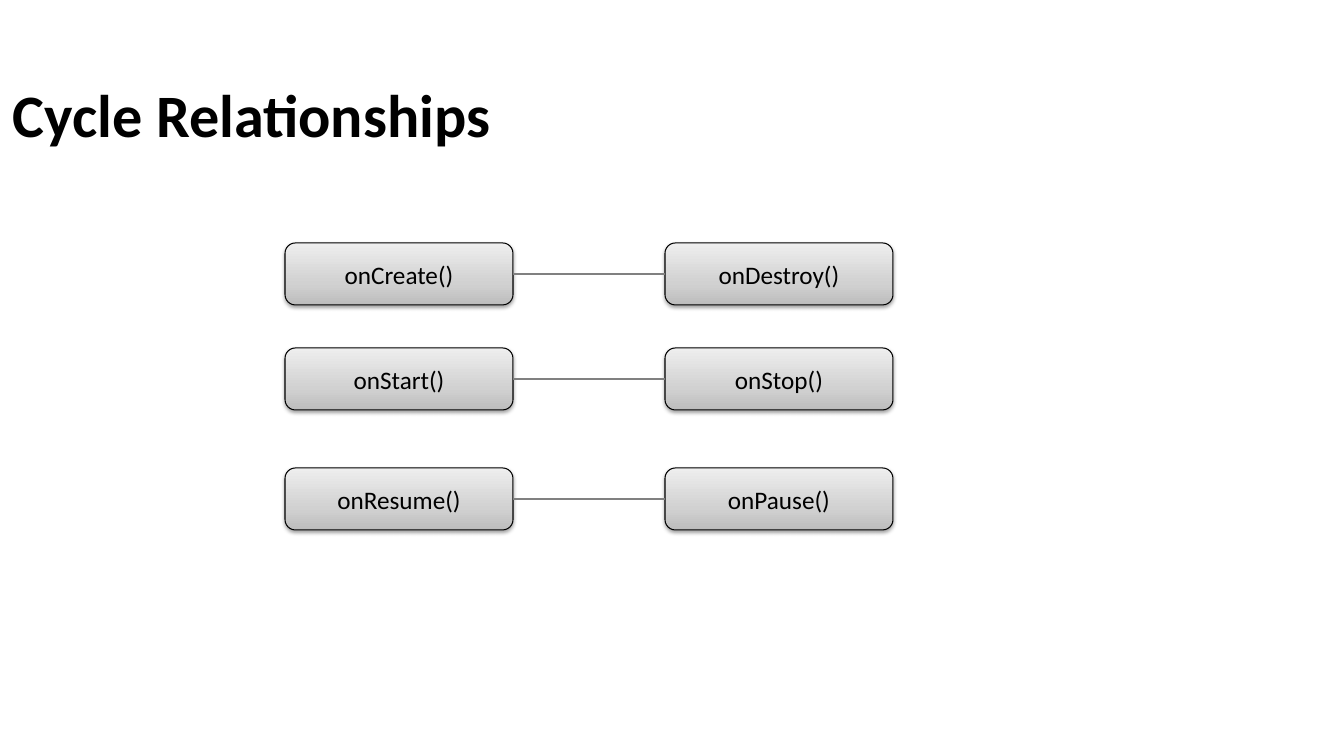
from lxml.etree import SubElement
from pptx import Presentation
from pptx.dml.color import RGBColor
from pptx.enum.shapes import MSO_CONNECTOR, MSO_SHAPE
from pptx.enum.text import MSO_ANCHOR, PP_ALIGN
from pptx.oxml import parse_xml
from pptx.oxml.ns import nsdecls, qn
from pptx.util import Emu, Pt

THEME = {
    "font": "Calibri",
    "ink": "000000",
    "link": "808080",
    "fade": [(0, "BDBDBD"), (35, "D1D1D1"), (100, "EEEEEE")],
    "title": 43,
    "label": 18,
}
SCALE = 914400 / 100.8


def px(*vals):
    return [Emu(round(v * SCALE)) for v in vals]


def write(shape, text, size, bold, align, pads):
    frame = shape.text_frame
    form = {"word_wrap": True, "vertical_anchor": MSO_ANCHOR.MIDDLE}
    sides = ("margin_left", "margin_top", "margin_right", "margin_bottom")
    form.update(zip(sides, px(*pads)))
    for name, val in form.items():
        setattr(frame, name, val)
    line = frame.paragraphs[0]
    line.alignment = align
    run = line.add_run()
    run.text = text
    for name, val in {"name": THEME["font"], "size": Pt(size), "bold": bold}.items():
        setattr(run.font, name, val)
    run.font.color.rgb = RGBColor.from_string(THEME["ink"])


deck = Presentation()
deck.slide_width, deck.slide_height = px(1344, 756)
slide = deck.slides.add_slide(deck.slide_layouts[6])

# Title
title = slide.shapes.add_textbox(*px(0, 50, 784, 126))
write(title, "Cycle Relationships", THEME["title"], True, PP_ALIGN.LEFT, (13, 7, 13, 7))

# Paired callbacks, one group per row
stops = "".join(
    f'<a:gs pos="{pos * 1000}"><a:srgbClr val="{tint}"/></a:gs>'
    for pos, tint in THEME["fade"]
)
fade = (
    f'<a:gradFill {nsdecls("a")} rotWithShape="1"><a:gsLst>{stops}</a:gsLst>'
    '<a:lin ang="16200000" scaled="0"/></a:gradFill>'
)
shade = (
    f'<a:outerShdw {nsdecls("a")} blurRad="{Pt(3.1)}" dist="{Pt(1.6)}" dir="5400000" '
    f'rotWithShape="0"><a:srgbClr val="{THEME["ink"]}"><a:alpha val="38000"/>'
    "</a:srgbClr></a:outerShdw>"
)
rows = [
    (243, "onCreate()", "onDestroy()"),
    (348, "onStart()", "onStop()"),
    (468, "onResume()", "onPause()"),
]
for top, *names in rows:
    group = slide.shapes.add_group_shape()
    pair = []
    for left, name in zip((285, 665), names):
        box = group.shapes.add_shape(
            MSO_SHAPE.ROUNDED_RECTANGLE, *px(left, top, 228, 62)
        )
        box.line.color.rgb = RGBColor.from_string(THEME["ink"])
        box.line.width = Pt(0.75)
        box.shadow.inherit = False
        props = box.element.spPr
        props.find(qn("a:prstGeom")).addnext(parse_xml(fade))
        props.find(qn("a:effectLst")).append(parse_xml(shade))
        write(box, name, THEME["label"], False, PP_ALIGN.CENTER, (10, 5, 10, 5))
        pair.append(box)

    # Link from right edge to left edge
    link = group.shapes.add_connector(
        MSO_CONNECTOR.STRAIGHT, *px(513, top + 31, 665, top + 31)
    )
    link.begin_connect(pair[0], 3)
    link.end_connect(pair[1], 1)
    link.line.color.rgb = RGBColor.from_string(THEME["link"])
    link.line.width = Pt(1.5)
    SubElement(link.element.spPr, qn("a:effectLst"))

deck.save("out.pptx")
